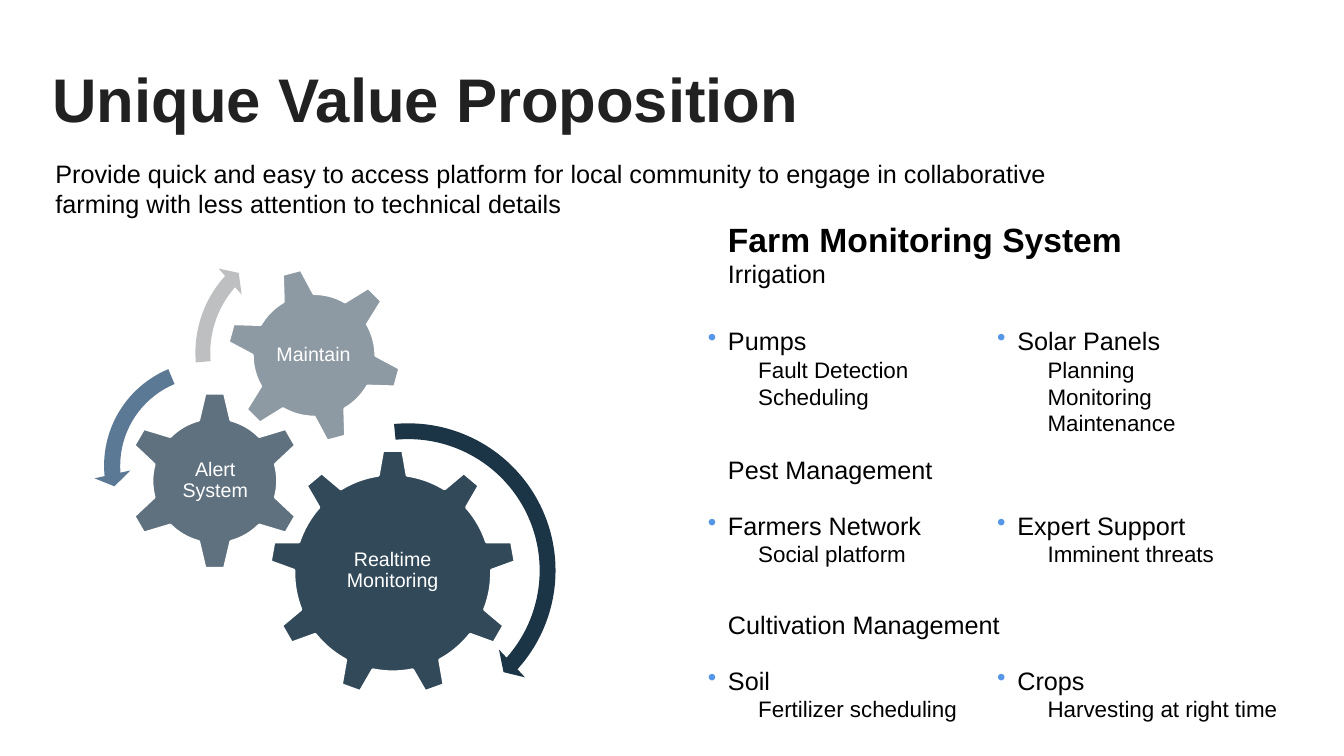
from dataclasses import dataclass

from lxml import etree
from pptx import Presentation
from pptx import slide as sl
from pptx import util as u
from pptx.dml.color import RGBColor
from pptx.enum import shapes, text
from pptx.oxml import ns
from pptx.text import text as tx

BLACK = RGBColor(0x00, 0x00, 0x00)
WHITE = RGBColor(0xFF, 0xFF, 0xFF)
CHARCOAL = RGBColor(0x21, 0x21, 0x21)
NAVY = RGBColor(0x1C, 0x36, 0x49)
DEEP_NAVY = RGBColor(0x1B, 0x34, 0x46)
STEEL = RGBColor(0x5B, 0x79, 0x94)
SILVER = RGBColor(0xBD, 0xBF, 0xC1)
BULLET_BLUE = RGBColor(0x55, 0x96, 0xE6)

SECTION_LEFT = 7.22
TOPIC_LEFTS = (7.02, 9.89)


@dataclass(frozen=True)
class Box:
    left: float
    top: float
    width: float
    height: float

    def emu(self) -> tuple[u.Length, ...]:
        return tuple(u.Inches(n) for n in (self.left, self.top, self.width, self.height))


@dataclass(frozen=True)
class Gear:
    label: str
    preset: shapes.MSO_SHAPE
    outline: Box
    label_box: Box
    opacity: int
    rotation: float = 0


@dataclass(frozen=True)
class Arrow:
    preset: shapes.MSO_SHAPE
    outline: Box
    color: RGBColor
    adjustments: tuple[float, ...]


@dataclass(frozen=True)
class Topic:
    name: str
    details: tuple[str, ...]


@dataclass(frozen=True)
class Section:
    heading: str
    heading_top: float
    topics_top: float
    topics: tuple[Topic, Topic]


GEARS = (
    Gear("Realtime Monitoring", shapes.MSO_SHAPE.GEAR_9,
         Box(2.67, 4.46, 2.45, 2.45), Box(3.16, 5.03, 1.47, 1.26), 90),
    Gear("Alert System", shapes.MSO_SHAPE.GEAR_6,
         Box(1.24, 3.88, 1.78, 1.78), Box(1.69, 4.33, 0.89, 0.88), 70),
    Gear("Maintain", shapes.MSO_SHAPE.GEAR_6,
         Box(2.24, 2.65, 1.75, 1.75), Box(2.62, 3.03, 0.98, 0.98), 50, 345),
)

ARROWS = (
    Arrow(shapes.MSO_SHAPE.CIRCULAR_ARROW, Box(2.48, 4.09, 3.14, 3.14), DEEP_NAVY,
          (0.05, 2.99, 25.13, 158.67, 0.06)),
    Arrow(shapes.MSO_SHAPE.LEFT_CIRCULAR_ARROW, Box(0.93, 3.48, 2.28, 2.28), STEEL,
          (0.07, 4.3, 104.89, 148.38, 0.08)),
    Arrow(shapes.MSO_SHAPE.CIRCULAR_ARROW, Box(1.84, 2.27, 2.46, 2.46), SILVER,
          (0.06, 3.94, 133.14, 105.08, 0.07)),
)

SECTIONS = (
    Section("Irrigation", 2.6, 3.23, (
        Topic("Pumps", ("Fault Detection", "Scheduling")),
        Topic("Solar Panels", ("Planning", "Monitoring", "Maintenance")),
    )),
    Section("Pest Management", 4.54, 5.06, (
        Topic("Farmers Network", ("Social platform",)),
        Topic("Expert Support", ("Imminent threats",)),
    )),
    Section("Cultivation Management", 6.08, 6.6, (
        Topic("Soil", ("Fertilizer scheduling",)),
        Topic("Crops", ("Harvesting at right time",)),
    )),
)


def add_frame(slide: sl.Slide, box: Box, inset: float = 0,
              anchor: text.MSO_ANCHOR = text.MSO_ANCHOR.TOP) -> tx.TextFrame:
    frame = slide.shapes.add_textbox(*box.emu()).text_frame
    frame.word_wrap = True
    frame.vertical_anchor = anchor
    frame.margin_left = frame.margin_right = u.Inches(inset)
    frame.margin_top = frame.margin_bottom = u.Inches(inset)
    return frame


def write(frame: tx.TextFrame, words: str, *, size: float = 18, color: RGBColor = BLACK,
          bold: bool = False, align: text.PP_ALIGN = text.PP_ALIGN.LEFT,
          line_spacing: float = 1.0, level: int = 0, margin: float = 0,
          indent: float = 0, bullet: bool = False) -> None:
    paragraph = frame.add_paragraph() if frame.text else frame.paragraphs[0]
    paragraph.alignment = align
    paragraph.line_spacing = line_spacing
    paragraph.level = level
    run = paragraph.add_run()
    run.text = words
    run.font.name = "Arial"
    run.font.size = u.Pt(size)
    run.font.bold = bold
    run.font.color.rgb = color
    properties = paragraph._p.get_or_add_pPr()
    properties.set("marL", str(u.Inches(margin)))
    properties.set("indent", str(u.Inches(indent)))
    if bullet:
        bullet_color = etree.SubElement(properties, ns.qn("a:buClr"))
        etree.SubElement(bullet_color, ns.qn("a:srgbClr"), val=str(BULLET_BLUE))
        etree.SubElement(properties, ns.qn("a:buChar"), char="•")


def draw_gear(slide: sl.Slide, gear: Gear) -> None:
    wheel = slide.shapes.add_shape(gear.preset, *gear.outline.emu())
    wheel.shadow.inherit = False
    wheel.rotation = gear.rotation
    wheel.fill.solid()
    wheel.fill.fore_color.rgb = NAVY
    tint = wheel._element.spPr.find(ns.qn("a:solidFill")).find(ns.qn("a:srgbClr"))
    etree.SubElement(tint, ns.qn("a:alpha"), val=str(gear.opacity * 1000))
    wheel.line.color.rgb = WHITE
    wheel.line.width = u.Pt(2)
    label = add_frame(slide, gear.label_box, inset=0.02, anchor=text.MSO_ANCHOR.MIDDLE)
    write(label, gear.label, size=14, color=WHITE, align=text.PP_ALIGN.CENTER,
          line_spacing=0.9)


def draw_arrow(slide: sl.Slide, arrow: Arrow) -> None:
    sweep = slide.shapes.add_shape(arrow.preset, *arrow.outline.emu())
    sweep.shadow.inherit = False
    sweep.fill.solid()
    sweep.fill.fore_color.rgb = arrow.color
    sweep.line.fill.background()
    for index, value in enumerate(arrow.adjustments):
        sweep.adjustments[index] = value


def draw_section(slide: sl.Slide, section: Section) -> None:
    heading = add_frame(slide, Box(SECTION_LEFT, section.heading_top, 5.68, 0.33))
    write(heading, section.heading, line_spacing=0.9)
    for left, topic in zip(TOPIC_LEFTS, section.topics):
        entry = add_frame(slide, Box(left, section.topics_top, 2.81, 1.18))
        write(entry, topic.name, margin=0.2, indent=-0.2, bullet=True)
        for detail in topic.details:
            write(entry, detail, size=16, level=1, indent=0.5)


def main() -> None:
    deck = Presentation()
    deck.slide_width, deck.slide_height = u.Inches(13.33), u.Inches(7.5)
    slide = deck.slides.add_slide(deck.slide_layouts[6])

    title = add_frame(slide, Box(0.49, 0.56, 12.29, 0.82), inset=0.03,
                      anchor=text.MSO_ANCHOR.MIDDLE)
    write(title, "Unique Value Proposition", size=44, color=CHARCOAL, bold=True)
    promise = add_frame(slide, Box(0.55, 1.57, 9.88, 0.8))
    write(promise, "Provide quick and easy to access platform for local community to engage "
                   "in collaborative farming with less attention to technical details")
    system = add_frame(slide, Box(SECTION_LEFT, 2.13, 5.68, 0.45))
    write(system, "Farm Monitoring System", size=24, bold=True, line_spacing=1.1)

    for gear in GEARS:
        draw_gear(slide, gear)
    for arrow in ARROWS:
        draw_arrow(slide, arrow)
    for section in SECTIONS:
        draw_section(slide, section)
    deck.save("out.pptx")


if __name__ == "__main__":
    main()
